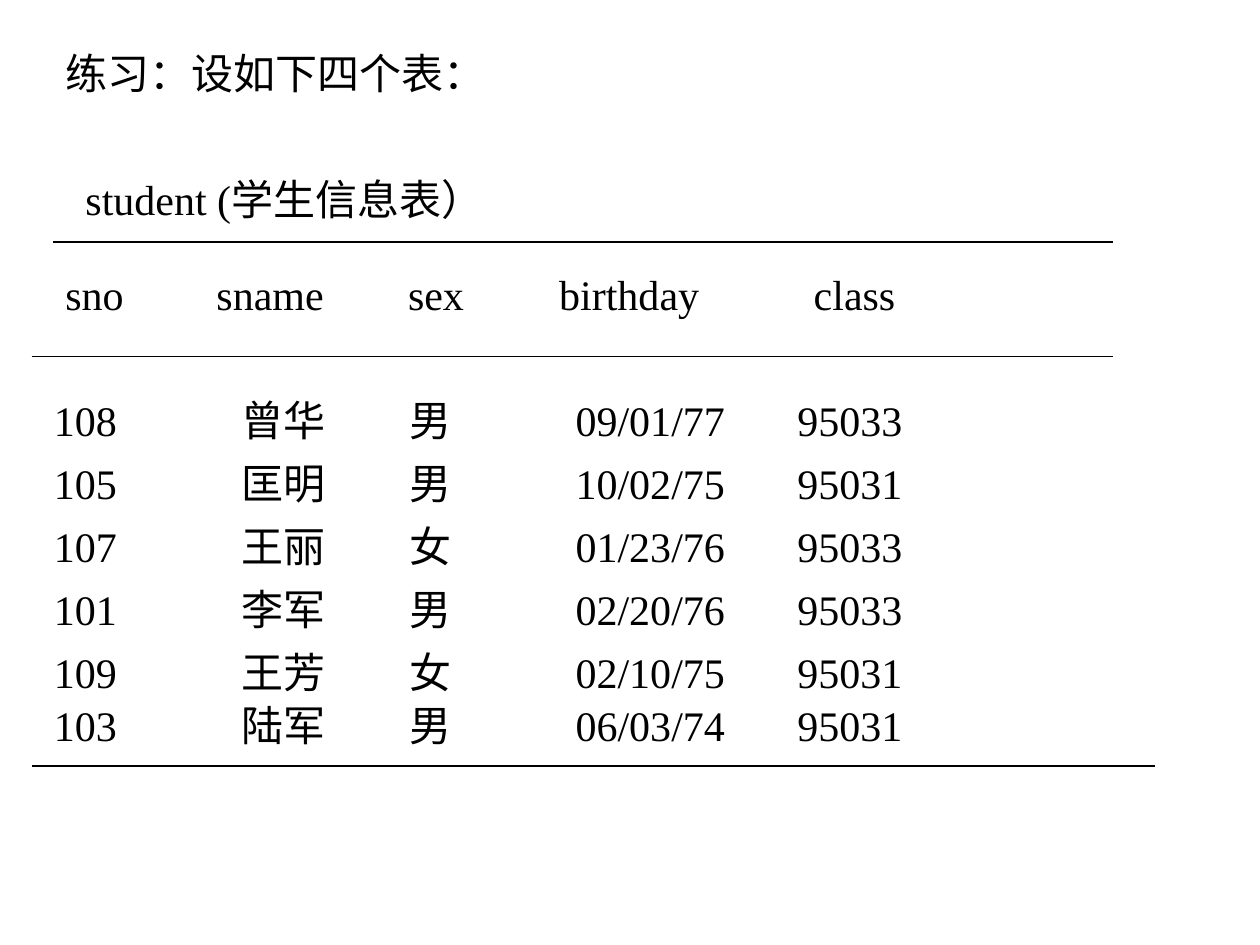
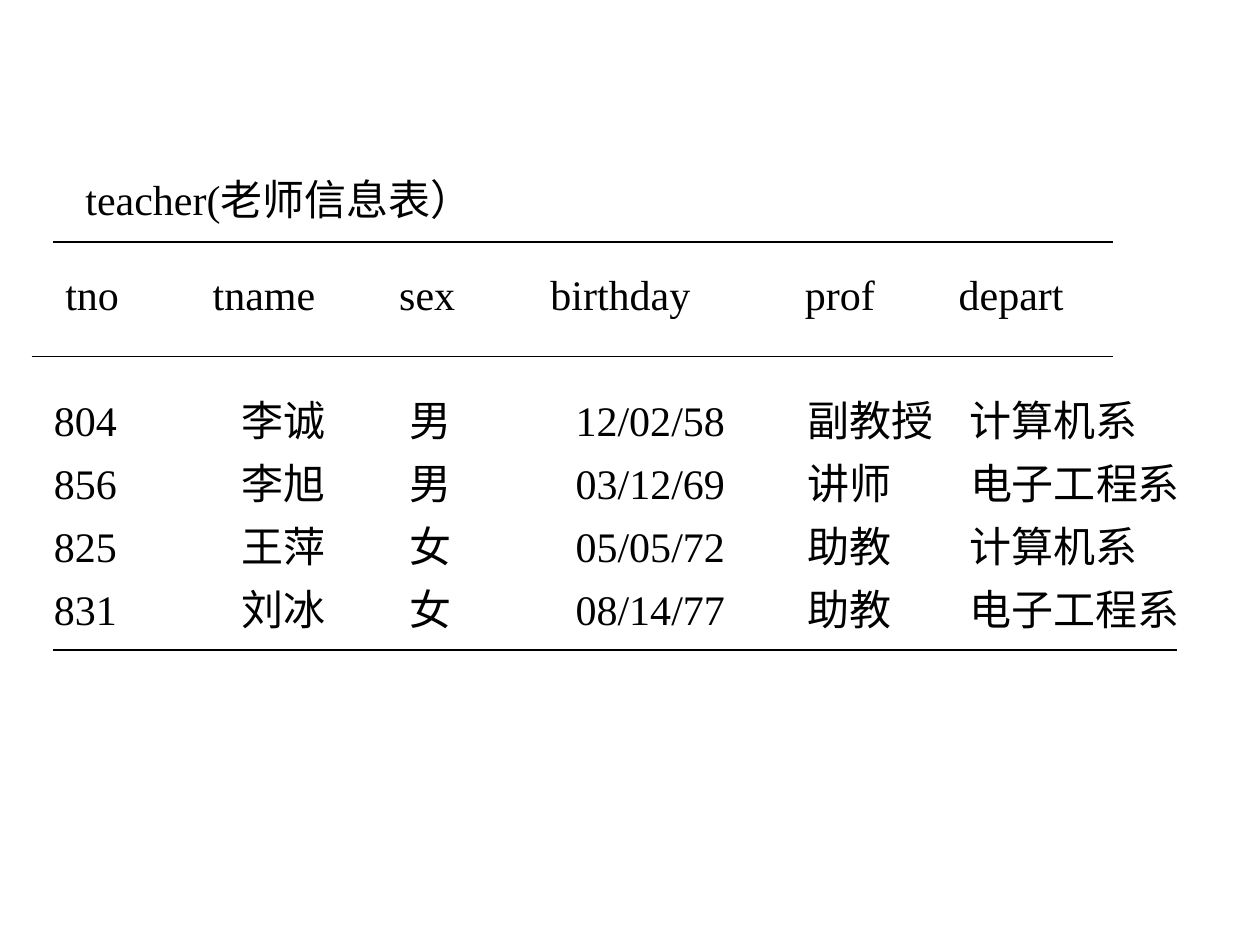
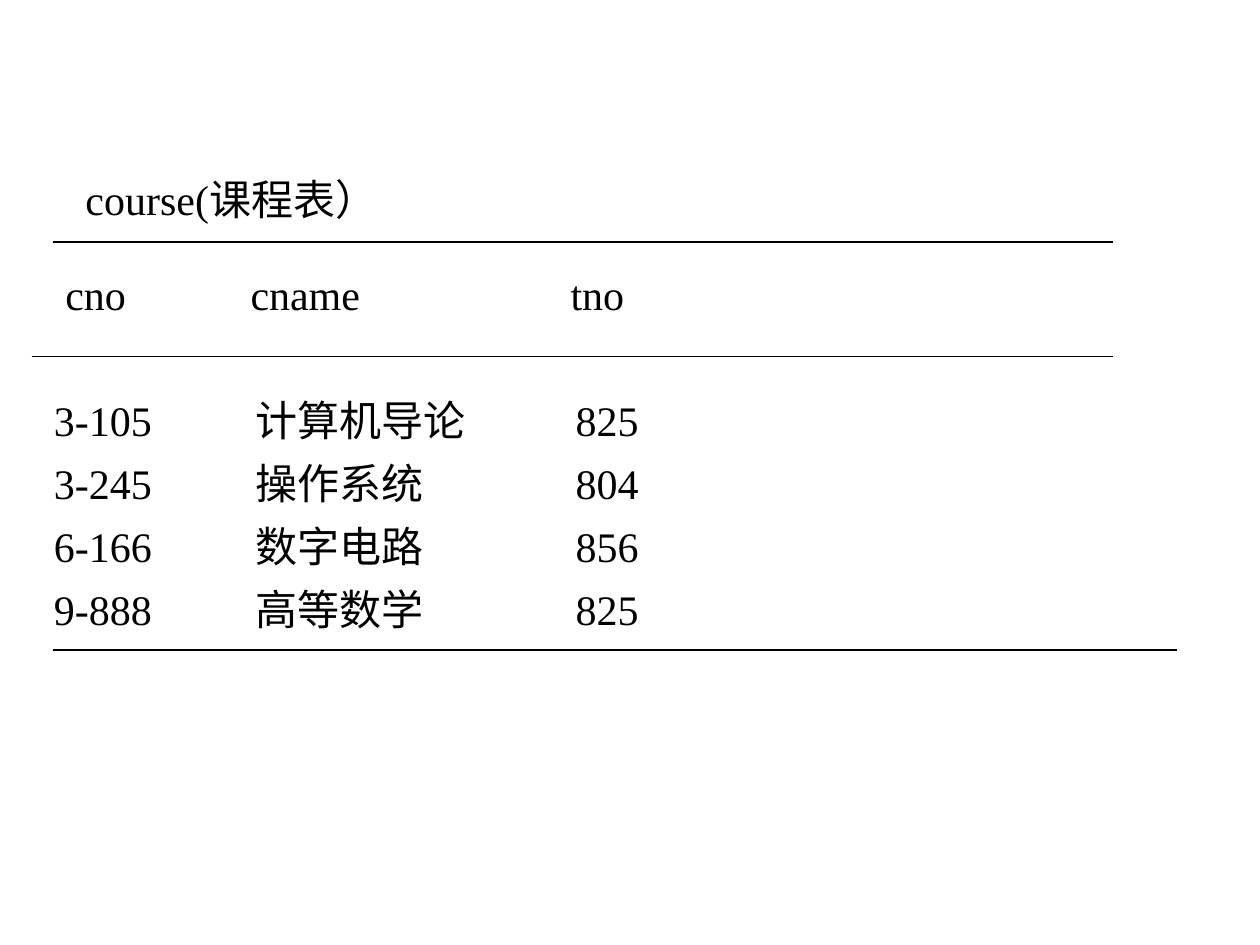
from dataclasses import dataclass

from lxml.etree import SubElement
from pptx import Presentation
from pptx.dml.color import RGBColor
from pptx.enum.shapes import MSO_CONNECTOR
from pptx.enum.text import MSO_AUTO_SIZE
from pptx.oxml.ns import qn
from pptx.util import Inches, Pt

FONT = "Times New Roman"
INK = "000000"
PAPER = "FFFFFF"
TABLE_LEFT, TABLE_TOP = 0.25, 1.33
LINE_HEIGHT = 0.5
ROW_PITCH = 0.5
LAST_ROW_TOP = 4.17
RULE_WIDTH, BOTTOM_RULE_WIDTH = 8.58, 8.92
WIDE_ROWS = [8.83, 9.42, 9, 9.67]


@dataclass
class Listing:
    title: str
    header: list
    header_stops: list
    header_width: float
    rows: list
    row_stops: list
    row_widths: list
    bottom_inset: float


LISTINGS = [
    Listing(
        "student (学生信息表）",
        ["sno", "sname", "sex", "birthday", "class"],
        [1.2, 2.72, 3.92, 5.94],
        8.33,
        [
            ["108", "曾华", "男", "09/01/77", "95033"],
            ["105", "匡明", "男", "10/02/75", "95031"],
            ["107", "王丽", "女", "01/23/76", "95033"],
            ["101", "李军", "男", "02/20/76", "95033"],
            ["109", "王芳", "女", "02/10/75", "95031"],
            ["103", "陆军", "男", "06/03/74", "95031"],
        ],
        [1.49, 2.82, 4.14, 5.9],
        [7.83] * 6,
        0,
    ),
    Listing(
        "teacher(老师信息表）",
        ["tno", "tname", "sex", "birthday", "prof", "depart"],
        [1.17, 2.65, 3.85, 5.87, 7.09],
        9,
        [
            ["804", "李诚", "男", "12/02/58", "副教授", "计算机系"],
            ["856", "李旭", "男", "03/12/69", "讲师", "电子工程系"],
            ["825", "王萍", "女", "05/05/72", "助教", "计算机系"],
            ["831", "刘冰", "女", "08/14/77", "助教", "电子工程系"],
        ],
        [1.49, 2.82, 4.14, 5.98, 7.27],
        WIDE_ROWS,
        0.17,
    ),
    Listing(
        "course(课程表）",
        ["cno", "cname", "tno"],
        [1.47, 4.01],
        9,
        [
            ["3-105", "计算机导论", "825"],
            ["3-245", "操作系统", "804"],
            ["6-166", "数字电路", "856"],
            ["9-888", "高等数学", "825"],
        ],
        [1.6, 4.14],
        WIDE_ROWS,
        0.17,
    ),
]


def color(value):
    return RGBColor.from_string(value)


def add_text(s, left, top, width, cells, stops=()):
    sp = s.shapes.add_textbox(
        Inches(left), Inches(top), Inches(width), Inches(LINE_HEIGHT)
    )
    tf = sp.text_frame
    tf.word_wrap = True
    tf.auto_size = MSO_AUTO_SIZE.SHAPE_TO_FIT_TEXT
    p = tf.paragraphs[0]
    p.space_before = Pt(15)
    if stops:
        tabs = SubElement(p._p.get_or_add_pPr(), qn("a:tabLst"))
        for stop in stops:
            SubElement(tabs, qn("a:tab"), pos=str(Inches(stop)), algn="l")
    r = p.add_run()
    r.text = "\t".join(cells)
    r.font.name = FONT
    r.font.size = Pt(24)
    r.font.color.rgb = color(INK)


def add_rule(s, left, right, y):
    line = s.shapes.add_connector(
        MSO_CONNECTOR.STRAIGHT, Inches(left), Inches(y), Inches(right), Inches(y)
    )
    line.line.color.rgb = color(INK)
    line.line.width = Pt(0.75)
    SubElement(line._element.spPr, qn("a:effectLst"))


def add_listing(s, left, top, listing):
    right = left + RULE_WIDTH
    add_text(s, left + 0.33, top, 7.58, [listing.title])
    add_rule(s, left + 0.17, right, top + 0.59)
    add_text(s, left + 0.17, top + 0.75, listing.header_width,
             listing.header, listing.header_stops)
    add_rule(s, left, right, top + 1.5)
    for i, (row, width) in enumerate(zip(listing.rows, listing.row_widths)):
        row_top = top + min(1.75 + i * ROW_PITCH, LAST_ROW_TOP)
        add_text(s, left + 0.08, row_top, width, row, listing.row_stops)
    bottom_left = left + listing.bottom_inset
    add_rule(s, bottom_left, bottom_left + BOTTOM_RULE_WIDTH, row_top + 0.58)


def add_listing_slide(prs, listing):
    s = prs.slides.add_slide(prs.slide_layouts[6])
    s.background.fill.solid()
    s.background.fill.fore_color.rgb = color(PAPER)
    add_listing(s, TABLE_LEFT, TABLE_TOP, listing)
    return s


def main():
    prs = Presentation()
    prs.slide_width, prs.slide_height = Inches(10), Inches(7.5)
    slides = [add_listing_slide(prs, listing) for listing in LISTINGS]
    add_text(slides[0], 0.42, 0.33, 4, ["练习：设如下四个表："])
    prs.save("out.pptx")


if __name__ == "__main__":
    main()
